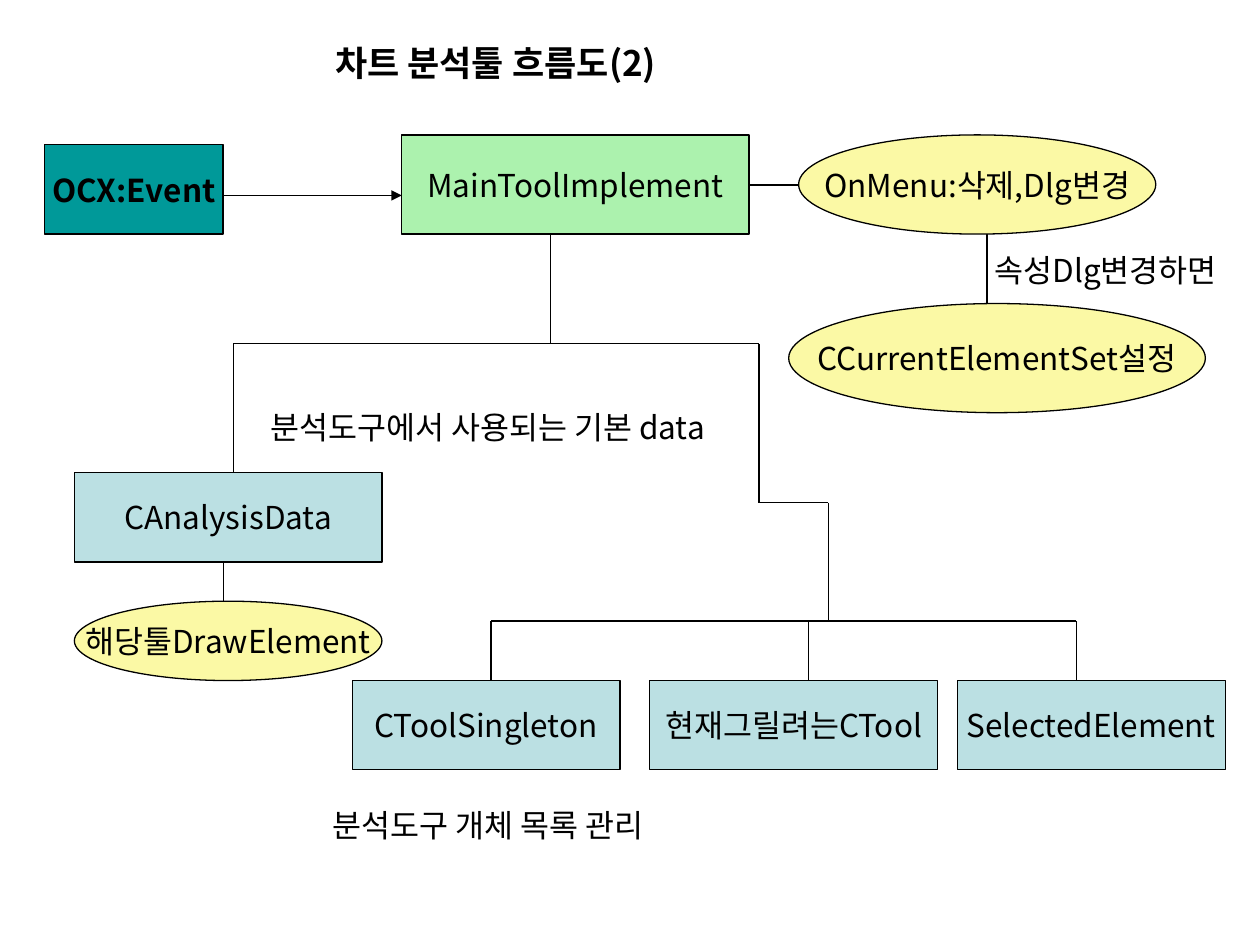
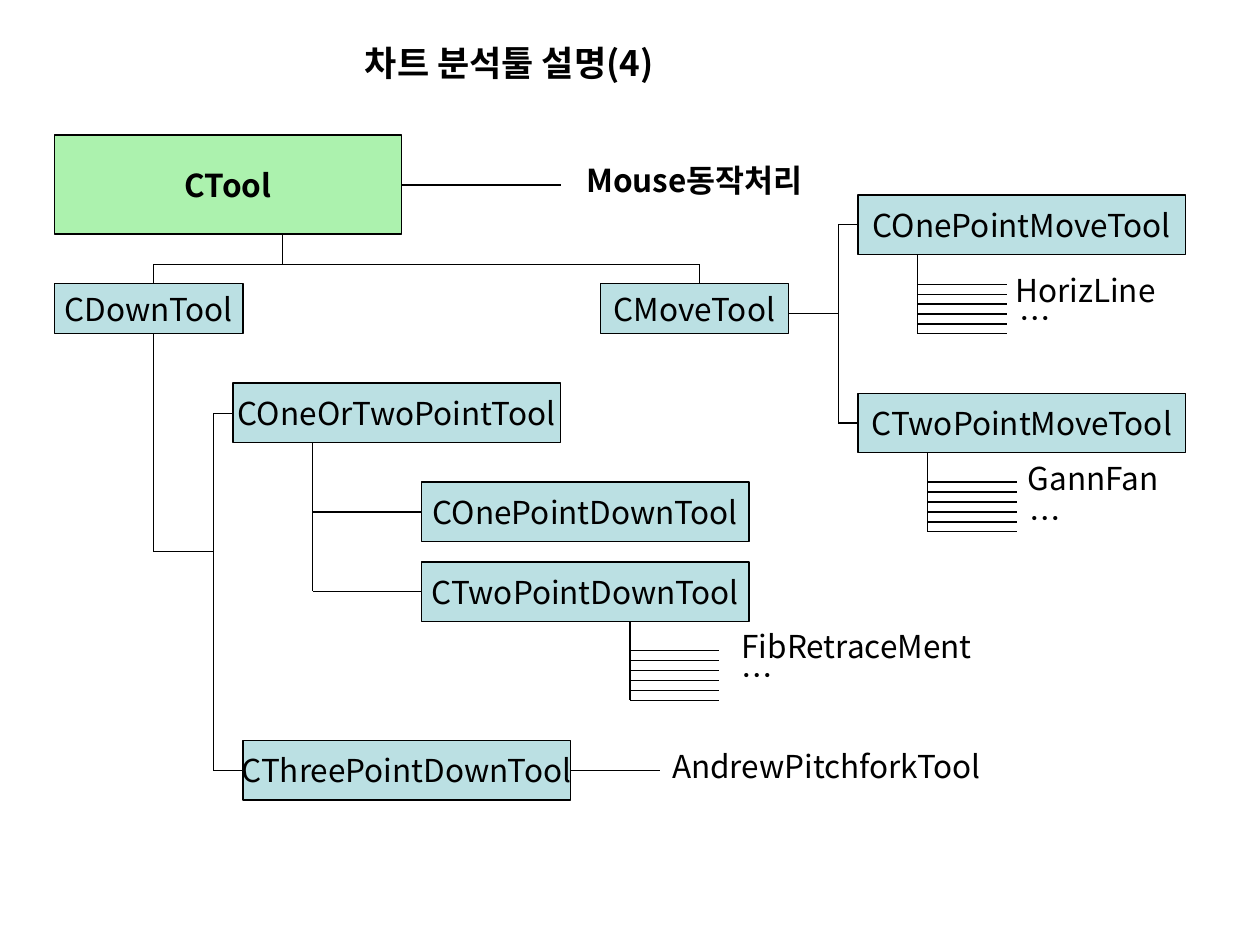
"""Build two slides with the flow and class diagrams of the chart analysis tools."""
import pptx
import pptx.dml.color
import pptx.enum.shapes
import pptx.enum.text
import pptx.oxml.ns
import pptx.util
import lxml.etree

Cm = pptx.util.Cm
RGBColor = pptx.dml.color.RGBColor
Align = pptx.enum.text.PP_ALIGN
Anchor = pptx.enum.text.MSO_ANCHOR
RECTANGLE = pptx.enum.shapes.MSO_SHAPE.RECTANGLE
ELLIPSE = pptx.enum.shapes.MSO_SHAPE.OVAL
qn = pptx.oxml.ns.qn

FONT = "Noto Sans CJK KR"
BLACK = RGBColor(0x00, 0x00, 0x00)
GREEN = RGBColor(0xAC, 0xF2, 0xAE)
YELLOW = RGBColor(0xFB, 0xF9, 0xA5)
BLUE = RGBColor(0xBB, 0xE0, 0xE3)
TEAL = RGBColor(0x00, 0x99, 0x99)
LINE_WIDTH = pptx.util.Pt(0.75)


def write_text(shape, text, size=18, bold=False, align=Align.LEFT, anchor=Anchor.TOP, wrap=True):
    frame = shape.text_frame
    frame.auto_size = pptx.enum.text.MSO_AUTO_SIZE.NONE
    frame.word_wrap = wrap
    frame.vertical_anchor = anchor
    paragraph = frame.paragraphs[0]
    paragraph.alignment = align
    paragraph.space_before = pptx.util.Pt(0)
    run = paragraph.add_run()
    run.text = text
    run.font.name = FONT
    run.font.size = pptx.util.Pt(size)
    run.font.bold = bold
    run.font.color.rgb = BLACK
    latin = run.font._element.find(qn("a:latin"))
    east_asian = lxml.etree.Element(qn("a:ea"), typeface=FONT)
    latin.addnext(east_asian)


def draw_path(slide, points, arrow=False):
    for start, end in zip(points, points[1:]):
        connector = slide.shapes.add_connector(
            pptx.enum.shapes.MSO_CONNECTOR.STRAIGHT, *map(Cm, start + end))
        connector.line.color.rgb = BLACK
        connector.line.width = LINE_WIDTH
        properties = connector._element.spPr
        if arrow:
            lxml.etree.SubElement(properties.find(qn("a:ln")), qn("a:tailEnd"), type="triangle")
        lxml.etree.SubElement(properties, qn("a:effectLst"))


flow = {
    "title": ("차트 분석툴 흐름도(2)", 6.5),
    "arrows": [[(4.5, 3.94), (8.1, 3.94)]],
    "paths": [
        [(15.1, 3.73), (16.1, 3.73)],
        [(19.9, 4.72), (19.9, 6.32)],
        [(11.1, 4.72), (11.1, 6.93)],
        [(4.7, 9.53), (4.7, 6.93), (15.3, 6.93), (15.3, 10.13), (16.7, 10.13), (16.7, 12.52)],
        [(9.9, 13.72), (9.9, 12.52), (21.7, 12.52), (21.7, 13.72)],
        [(16.3, 12.52), (16.3, 13.72)],
        [(4.5, 11.33), (4.5, 12.12)],
    ],
    "combs": [],
    "nodes": [
        ("OCX:Event", RECTANGLE, TEAL, True, (0.9, 2.92, 3.6, 1.8)),
        ("MainToolImplement", RECTANGLE, GREEN, False, (8.1, 2.72, 7, 2)),
        ("OnMenu:삭제,Dlg변경", ELLIPSE, YELLOW, False, (16.1, 2.72, 7.2, 2)),
        ("CCurrentElementSet설정", ELLIPSE, YELLOW, False, (15.9, 6.12, 8.4, 2.2)),
        ("CAnalysisData", RECTANGLE, BLUE, False, (1.5, 9.53, 6.2, 1.8)),
        ("해당툴DrawElement", ELLIPSE, YELLOW, False, (1.5, 12.12, 6.2, 1.6)),
        ("CToolSingleton", RECTANGLE, BLUE, False, (7.1, 13.72, 5.4, 1.8)),
        ("현재그릴려는CTool", RECTANGLE, BLUE, False, (13.1, 13.72, 5.8, 1.8)),
        ("SelectedElement", RECTANGLE, BLUE, False, (19.3, 13.72, 5.4, 1.8)),
    ],
    "labels": [
        ("속성Dlg변경하면", False, Align.LEFT, (19.8, 4.93, 5.6, 1.02)),
        ("분석도구에서 사용되는 기본 data", False, Align.LEFT, (5.2, 8.1, 9.9, 1.02)),
        ("분석도구 개체 목록 관리", False, Align.LEFT, (6.45, 16.13, 7.2, 1.02)),
    ],
}

tools = {
    "title": ("차트 분석툴 설명(4)", 7.1),
    "arrows": [],
    "paths": [
        [(8.1, 3.73), (11.3, 3.73)],
        [(5.7, 4.72), (5.7, 5.33)],
        [(3.1, 5.72), (3.1, 5.33), (14.1, 5.33), (14.1, 5.72)],
        [(3.1, 6.72), (3.1, 11.12), (4.3, 11.12)],
        [(4.7, 8.33), (4.3, 8.33), (4.3, 15.53), (4.9, 15.53)],
        [(6.3, 8.92), (6.3, 11.92), (8.5, 11.92)],
        [(6.3, 10.32), (8.5, 10.32)],
        [(11.5, 15.53), (13.3, 15.53)],
        [(15.9, 6.32), (16.9, 6.32)],
        [(17.3, 4.52), (16.9, 4.52), (16.9, 8.53), (17.3, 8.53)],
    ],
    "combs": [(12.7, 12.52), (18.5, 5.13), (18.7, 9.12)],
    "nodes": [("CTool", RECTANGLE, GREEN, True, (1.1, 2.72, 7, 2))] + [
        (name, RECTANGLE, BLUE, False, (left, 5.72, 3.8, 1))
        for name, left in [("CDownTool", 1.1), ("CMoveTool", 12.1)]
    ] + [
        (name, RECTANGLE, BLUE, False, (left, top, 6.6, 1.2))
        for name, left, top in [
            ("COneOrTwoPointTool", 4.7, 7.72),
            ("COnePointDownTool", 8.5, 9.72),
            ("CTwoPointDownTool", 8.5, 11.33),
            ("CThreePointDownTool", 4.9, 14.93),
            ("COnePointMoveTool", 17.3, 3.93),
            ("CTwoPointMoveTool", 17.3, 7.93),
        ]
    ],
    "labels": [
        ("Mouse동작처리", True, Align.CENTER, (10.7, 3.12, 6.6, 2.18)),
        ("HorizLine", False, Align.LEFT, (20.22, 5.33, 3.8, 1.02)),
        ("…", False, Align.LEFT, (20.3, 5.9, 4.8, 1.02)),
        ("GannFan", False, Align.LEFT, (20.47, 9.12, 3.6, 1.02)),
        ("…", False, Align.LEFT, (20.5, 9.93, 4.8, 1.02)),
        ("FibRetraceMent", False, Align.LEFT, (14.7, 12.52, 5.6, 1.02)),
        ("…", False, Align.LEFT, (14.7, 13.11, 5.6, 1.02)),
        ("AndrewPitchforkTool", False, Align.LEFT, (13.3, 14.93, 6.9, 1.78)),
    ],
}

presentation = pptx.Presentation()
presentation.slide_width = Cm(25.4)
presentation.slide_height = Cm(19.05)
title_only_layout = presentation.slide_layouts[5]

for diagram in (flow, tools):
    slide = presentation.slides.add_slide(title_only_layout)
    title_text, title_left = diagram["title"]
    title = slide.shapes.title
    title.left, title.top, title.width, title.height = map(Cm, (title_left, 0.71, 9.2, 1.12))
    write_text(title, title_text, size=20, bold=True)

    for points in diagram["paths"]:
        draw_path(slide, points)
    for points in diagram["arrows"]:
        draw_path(slide, points, arrow=True)
    for left, top in diagram["combs"]:
        draw_path(slide, [(left, top), (left, top + 1.6)])
        for tooth in range(6):
            height = top + 0.6 + 0.2 * tooth
            draw_path(slide, [(left, height), (left + 1.8, height)])

    for text, outline, colour, bold, box in diagram["nodes"]:
        shape = slide.shapes.add_shape(outline, *map(Cm, box))
        shape.shadow.inherit = False
        shape.fill.solid()
        shape.fill.fore_color.rgb = colour
        shape.line.color.rgb = BLACK
        shape.line.width = LINE_WIDTH
        write_text(shape, text, bold=bold, align=Align.CENTER, anchor=Anchor.MIDDLE, wrap=False)

    for text, bold, align, box in diagram["labels"]:
        label = slide.shapes.add_textbox(*map(Cm, box))
        write_text(label, text, bold=bold, align=align)

presentation.save("out.pptx")
